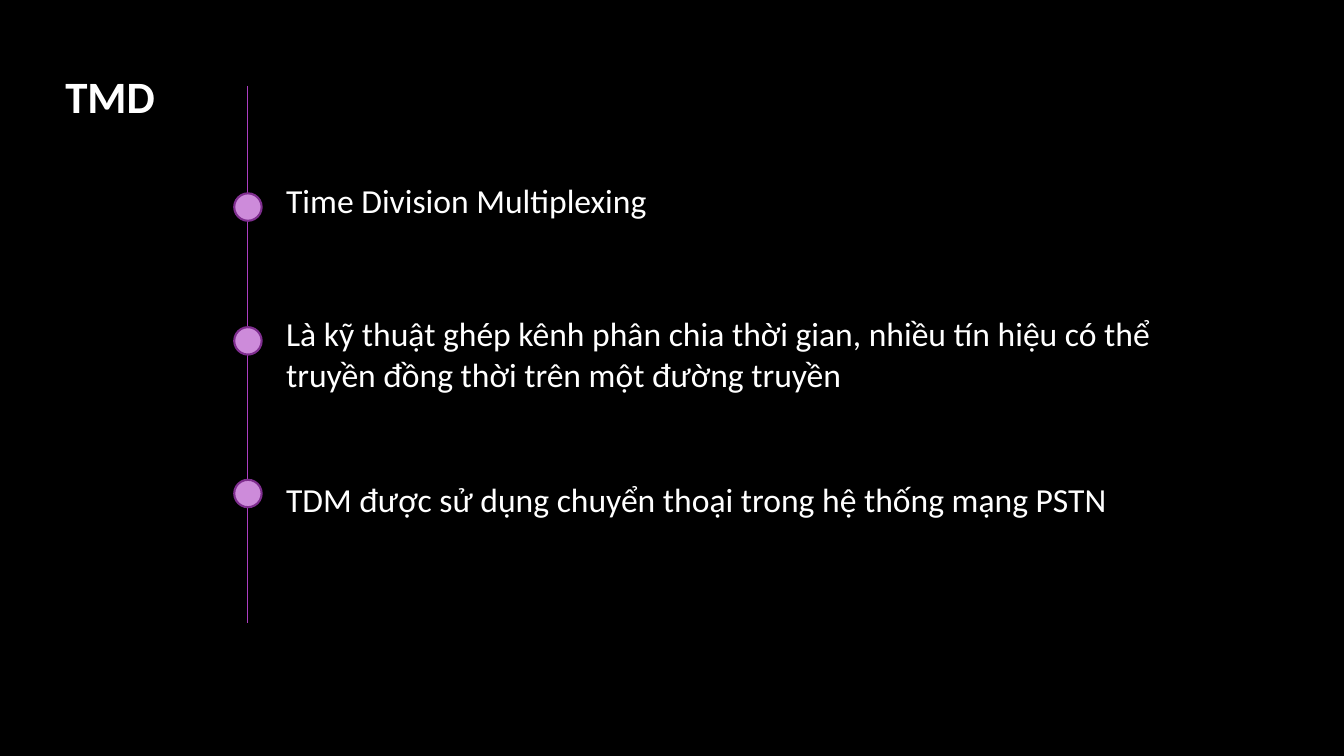
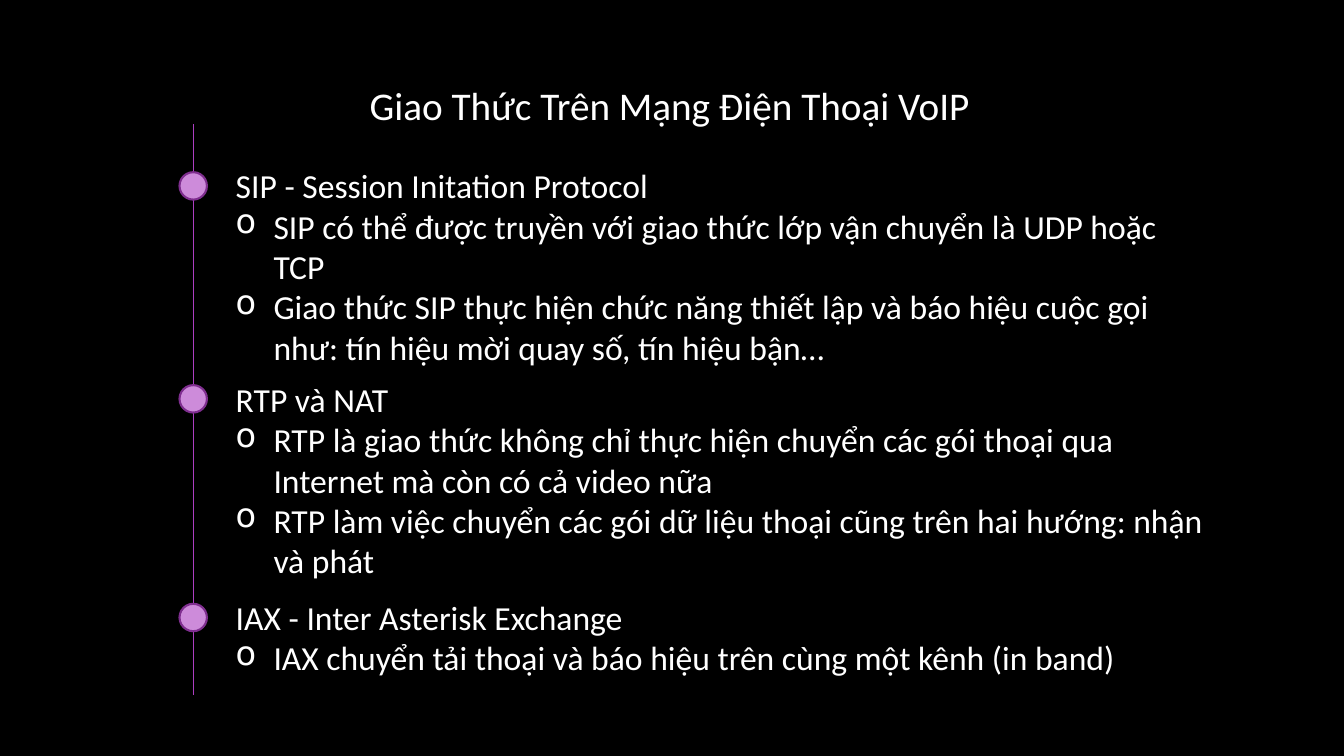
from lxml import etree
from pptx import Presentation
from pptx.dml.color import RGBColor
from pptx.enum import shapes, text
from pptx.oxml import ns
from pptx.util import Pt

BLACK = RGBColor(0x00, 0x00, 0x00)
WHITE = RGBColor(0xFF, 0xFF, 0xFF)
ORCHID = RGBColor(0xCD, 0x8B, 0xDA)
PURPLE = RGBColor(0xAC, 0x3E, 0xC1)
PLUM = RGBColor(0x7F, 0x2E, 0x8F)
FONT = "Calibri"
DOT = 19.6
INDENT = 27

TDM_ENTRIES = [
    (86.8, 64.2, 682.6, ["Time Division Multiplexing"]),
    (182.4, 159.2, 682.6, [
        "Là kỹ thuật ghép kênh phân chia thời gian, nhiều tín hiệu có thể "
        "truyền đồng thời trên một đường truyền"]),
    (291.4, 277.2, 641, ["TDM được sử dụng chuyển thoại trong hệ thống mạng PSTN"]),
]
VOIP_ENTRIES = [
    (44.2, 25.9, 684.7, [
        "SIP - Session Initation Protocol",
        "SIP có thể được truyền với giao thức lớp vận chuyển là UDP hoặc TCP",
        "Giao thức SIP thực hiện chức năng thiết lập và báo hiệu cuộc gọi "
        "như: tín hiệu mời quay số, tín hiệu bận…"]),
    (196.3, 178.5, 723.6, [
        "RTP và NAT",
        "RTP là giao thức không chỉ thực hiện chuyển các gói thoại qua "
        "Internet mà còn có cả video nữa",
        "RTP làm việc chuyển các gói dữ liệu thoại cũng trên hai hướng: "
        "nhận và phát"]),
    (352.5, 334, 650, [
        "IAX - Inter Asterisk Exchange",
        "IAX chuyển tải thoại và báo hiệu trên cùng một kênh (in band)"]),
]


def add_page(deck):
    page = deck.slides.add_slide(deck.slide_layouts[6])
    page.background.fill.solid()
    page.background.fill.fore_color.rgb = BLACK
    return page


def add_bullet(para):
    properties = para._p.get_or_add_pPr()
    properties.set("marL", str(Pt(INDENT)))
    properties.set("indent", str(-Pt(INDENT)))
    etree.SubElement(properties, ns.qn("a:buChar")).set("char", "o")


def add_text(page, left, top, width, height, lines, size, bold=False, wrap=True):
    box = page.shapes.add_textbox(Pt(left), Pt(top), Pt(width), Pt(height))
    frame = box.text_frame
    frame.word_wrap = wrap
    frame.auto_size = text.MSO_AUTO_SIZE.SHAPE_TO_FIT_TEXT
    for number, line in enumerate(lines):
        para = frame.add_paragraph() if number else frame.paragraphs[0]
        para.text = line
        if number:
            add_bullet(para)
        para.font.name = FONT
        para.font.size = Pt(size)
        para.font.bold = bold
        para.font.color.rgb = WHITE


def add_dot(page, center_x, center_y):
    dot = page.shapes.add_shape(
        shapes.MSO_SHAPE.OVAL, Pt(center_x - DOT / 2), Pt(center_y - DOT / 2),
        Pt(DOT), Pt(DOT))
    dot.shadow.inherit = False
    dot.fill.solid()
    dot.fill.fore_color.rgb = ORCHID
    dot.line.color.rgb = PLUM
    dot.line.width = Pt(1.5)


def add_timeline(page, left, top, height, gap, entries):
    axis = page.shapes.add_connector(
        shapes.MSO_CONNECTOR.STRAIGHT, Pt(left), Pt(top), Pt(left), Pt(top + height))
    axis.line.color.rgb = PURPLE
    axis.line.width = Pt(0.75)
    etree.SubElement(axis._element.spPr, ns.qn("a:effectLst"))
    for dot_y, text_y, width, lines in entries:
        add_dot(page, left, top + dot_y)
        add_text(page, left + gap, top + text_y, width, 36, lines, 24)


def build_tdm(deck):
    page = add_page(deck)
    add_text(page, 39.6, 45.4, 98.6, 46, ["TMD"], 32, bold=True)
    add_timeline(page, 177.1, 61.1, 384, 20.2, TDM_ENTRIES)


def build_voip(deck):
    page = add_page(deck)
    add_text(page, 257, 54.7, 447.8, 41, ["Giao Thức Trên Mạng Điện Thoại VoIP"],
             28, wrap=False)
    add_timeline(page, 138, 88.6, 407.5, 23.3, VOIP_ENTRIES)


def main():
    deck = Presentation()
    deck.slide_width = Pt(960)
    deck.slide_height = Pt(540)
    build_tdm(deck)
    build_voip(deck)
    deck.save("out.pptx")


if __name__ == "__main__":
    main()
